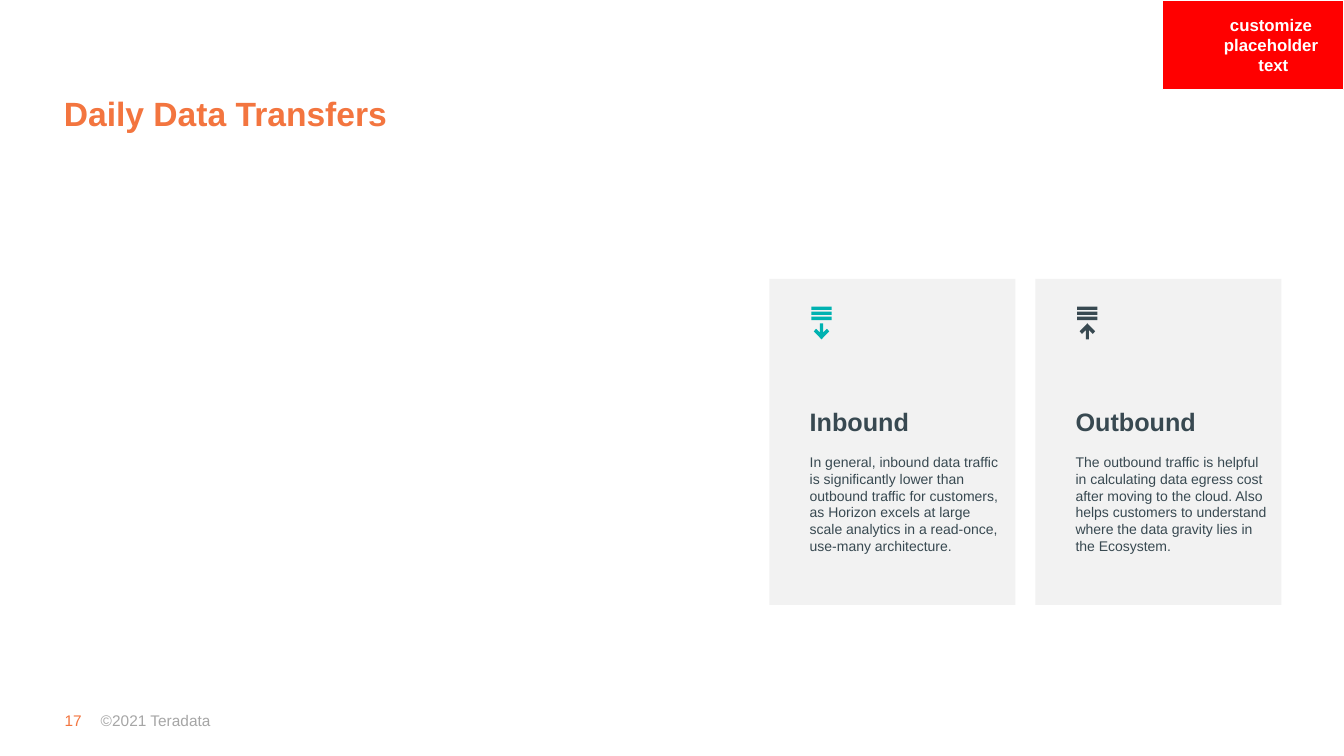
import pptx
import pptx.util
import pptx.dml.color
import pptx.enum.shapes
import pptx.enum.text

COLUMNS, ROWS = 160, 90
ORANGE, SLATE, TEAL = "F3753F", "384951", "00B2B1"
WHITE, RED, PALE, GREY = "FFFFFF", "FF0000", "F2F2F2", "A6A6A6"
ALIGN = pptx.enum.text.PP_ALIGN
ANCHOR = pptx.enum.text.MSO_ANCHOR

CARD_LEFT, CARD_TOP, CARD_WIDTH, CARD_HEIGHT, CARD_PITCH = 91.6, 33.2, 29.3, 38.8, 31.65
ICON_INDENT, BAR_TOP, BAR_STEP, BAR_WIDTH, BAR_HEIGHT = 5, 36.5, 0.6, 2.4, 0.4
ARROW_MIDDLE = 39.45
DOWN_ARROW = [(0.18, 0.15), (0.18, -0.95), (-0.18, -0.95), (-0.18, 0.15), (-0.65, -0.3),
              (-0.92, 0), (0, 0.95), (0.92, 0), (0.65, -0.3)]

CARDS = [
    ("Inbound", "In general, inbound data traffic is significantly lower than outbound "
     "traffic for customers, as Horizon excels at large scale analytics in a read-once, "
     "use-many architecture.", TEAL, 1),
    ("Outbound", "The outbound traffic is helpful in calculating data egress cost after "
     "moving to the cloud. Also helps customers to understand where the data gravity lies "
     "in the Ecosystem.", SLATE, -1),
]


def color(value):
    return pptx.dml.color.RGBColor.from_string(value)


class Page:
    font = "Arial"

    def __init__(self, deck):
        self.cell_width = deck.slide_width / COLUMNS
        self.cell_height = deck.slide_height / ROWS
        self.slide = deck.slides.add_slide(deck.slide_layouts[5])
        self.shapes = self.slide.shapes

    def place(self, column, row, width, height):
        return (round(column * self.cell_width), round(row * self.cell_height),
                round(width * self.cell_width), round(height * self.cell_height))

    def frame(self, box, anchor, margins=(0, 0, 0, 0), wrap=True):
        frame = box.text_frame
        frame.word_wrap = wrap
        frame.auto_size = pptx.enum.text.MSO_AUTO_SIZE.NONE
        frame.vertical_anchor = anchor
        (frame.margin_left, frame.margin_top,
         frame.margin_right, frame.margin_bottom) = map(pptx.util.Inches, margins)
        return frame

    def style(self, para, size, ink, bold=False, align=ALIGN.LEFT):
        para.alignment = align
        for span in para.runs:
            span.font.name = self.font
            span.font.size = pptx.util.Pt(size)
            span.font.bold = bold
            span.font.color.rgb = color(ink)

    def title(self, text, area):
        box = self.shapes.title
        box.left, box.top, box.width, box.height = self.place(*area)
        frame = self.frame(box, ANCHOR.BOTTOM)
        frame.text = text
        frame.paragraphs[0].line_spacing = 0.9
        self.style(frame.paragraphs[0], 24, ORANGE, True)

    def text(self, text, area, size, ink, anchor=ANCHOR.TOP, wrap=True,
             bold=False, align=ALIGN.LEFT):
        box = self.shapes.add_textbox(*self.place(*area))
        frame = self.frame(box, anchor, wrap=wrap)
        frame.text = text
        for para in frame.paragraphs:
            self.style(para, size, ink, bold, align)

    def paint(self, shape, fill):
        shape.shadow.inherit = False
        shape.fill.solid()
        shape.fill.fore_color.rgb = color(fill)
        shape.line.fill.background()
        return shape

    def rectangle(self, area, fill):
        kind = pptx.enum.shapes.MSO_SHAPE.RECTANGLE
        return self.paint(self.shapes.add_shape(kind, *self.place(*area)), fill)

    def card(self, column, heading, body):
        box = self.rectangle((column, CARD_TOP, CARD_WIDTH, CARD_HEIGHT), PALE)
        frame = self.frame(box, ANCHOR.BOTTOM, (0.4, 0, 0.1, 0.5))
        frame.text = heading
        first, second = frame.paragraphs[0], frame.add_paragraph()
        second.text = body
        second.space_before = pptx.util.Pt(6)
        first.space_after = second.space_after = pptx.util.Pt(6)
        self.style(first, 18, SLATE, True)
        self.style(second, 10, SLATE)

    def transfer_icon(self, column, fill, direction):
        for index in range(3):
            self.rectangle((column, BAR_TOP + index * BAR_STEP, BAR_WIDTH, BAR_HEIGHT), fill)
        center = column + BAR_WIDTH / 2
        points = [self.place(center + x, ARROW_MIDDLE + direction * y, 0, 0)[:2]
                  for x, y in DOWN_ARROW]
        outline = self.shapes.build_freeform(*points[0])
        outline.add_line_segments(points[1:], close=True)
        self.paint(outline.convert_to_shape(), fill)

    def banner(self, text):
        box = self.rectangle((138.4, 0, 21.6, 10.7), RED)
        box.line.color.rgb = color(WHITE)
        box.line.width = pptx.util.Pt(0.75)
        self.text(text, (144.1, 1.1, 15, 8.5), 12, WHITE, ANCHOR.MIDDLE,
                  bold=True, align=ALIGN.CENTER)


def main():
    deck = pptx.Presentation()
    deck.slide_width = pptx.util.Inches(13.33)
    deck.slide_height = pptx.util.Inches(7.5)
    page = Page(deck)
    page.text("17", (7.7, 84.6, 2.3, 2.3), 11, ORANGE, wrap=False)
    page.text("©2021 Teradata", (12, 84, 22.9, 3.5), 11, GREY, ANCHOR.MIDDLE)
    page.title("Daily Data Transfers", (7.6, 5.2, 144.8, 10.7))
    page.banner("customize \nplaceholder \ntext")
    for index, (heading, body, fill, direction) in enumerate(CARDS):
        column = CARD_LEFT + index * CARD_PITCH
        page.card(column, heading, body)
        page.transfer_icon(column + ICON_INDENT, fill, direction)
    deck.save("out.pptx")


if __name__ == "__main__":
    main()
